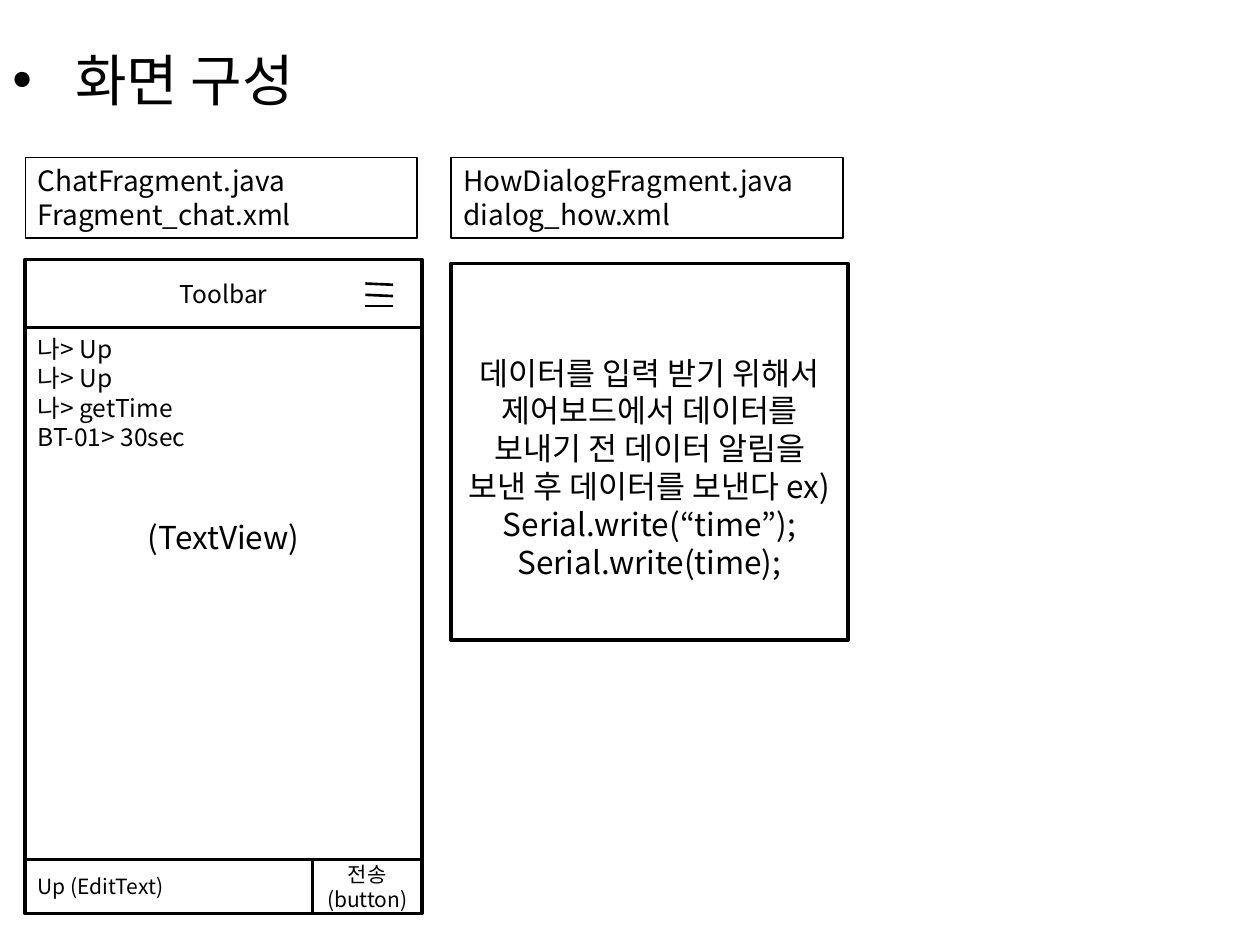
from dataclasses import dataclass

from lxml.etree import SubElement
from pptx import Presentation
from pptx.dml.color import RGBColor
from pptx.enum.shapes import MSO_CONNECTOR, MSO_SHAPE
from pptx.enum.text import MSO_ANCHOR, PP_ALIGN
from pptx.oxml.ns import qn
from pptx.util import Inches, Pt


@dataclass(frozen=True)
class Theme:
    font: str = "Noto Sans CJK KR"
    ink: RGBColor = RGBColor(0, 0, 0)
    paper: RGBColor = RGBColor(255, 255, 255)
    title: int = 32
    label: int = 16
    body: int = 18
    chat: int = 14
    small: int = 12
    thin: float = 0.75
    icon: float = 1.5
    thick: float = 2


def write(frame, text, theme, size, align=PP_ALIGN.LEFT, gap=0):
    """Add one paragraph per line of text, with a gap before the first."""
    for i, line in enumerate(text.split("\n")):
        last = frame.paragraphs[-1]
        para = frame.add_paragraph() if last.runs else last
        para.alignment = align
        para.space_before = Pt(0 if i else gap)
        run = para.add_run()
        run.text = line
        run.font.size = Pt(size)
        run.font.name = theme.font
        run.font.color.rgb = theme.ink
        SubElement(run.font._element, qn("a:ea"), typeface=theme.font)


class Page:
    def __init__(self, slide, theme):
        self.slide, self.theme = slide, theme

    def title(self, text, x, y, w, h):
        box = self.slide.shapes.add_textbox(
            Inches(x), Inches(y), Inches(w), Inches(h))
        frame = box.text_frame
        frame.word_wrap = True
        frame.vertical_anchor = MSO_ANCHOR.MIDDLE
        write(frame, text, self.theme, self.theme.title)
        props = frame.paragraphs[0]._p.get_or_add_pPr()
        props.set("marL", str(Inches(0.5)))
        props.set("indent", str(Inches(-0.5)))
        SubElement(props, qn("a:buFont"), typeface="Arial")
        SubElement(props, qn("a:buChar"), char="•")

    def box(self, text, x, y, w, h, size, align=PP_ALIGN.LEFT,
            anchor=MSO_ANCHOR.MIDDLE, width=None, fill=True,
            top=0.05, side=0.1):
        shape = self.slide.shapes.add_shape(
            MSO_SHAPE.RECTANGLE, Inches(x), Inches(y), Inches(w), Inches(h))
        shape.shadow.inherit = False
        if fill:
            shape.fill.solid()
            shape.fill.fore_color.rgb = self.theme.paper
        else:
            shape.fill.background()
        shape.line.color.rgb = self.theme.ink
        shape.line.width = Pt(width or self.theme.thick)
        frame = shape.text_frame
        frame.word_wrap = True
        frame.vertical_anchor = anchor
        frame.margin_top = Inches(top)
        frame.margin_left = frame.margin_right = Inches(side)
        write(frame, text, self.theme, size, align)
        return frame

    def label(self, text, x):
        self.box(text, x, 1.25, 3.11, 0.64, self.theme.label,
                 anchor=MSO_ANCHOR.TOP, width=self.theme.thin, fill=False)

    def line(self, x1, y1, x2, y2):
        line = self.slide.shapes.add_connector(
            MSO_CONNECTOR.STRAIGHT,
            Inches(x1), Inches(y1), Inches(x2), Inches(y2))
        line.line.color.rgb = self.theme.ink
        line.line.width = Pt(self.theme.icon)
        SubElement(line._element.spPr, qn("a:effectLst"))


def main():
    deck = Presentation()
    deck.slide_width, deck.slide_height = Inches(10), Inches(7.5)
    theme = Theme()
    page = Page(deck.slides.add_slide(deck.slide_layouts[6]), theme)
    left, right, wide = 0.2, 3.58, 3.15
    mid = PP_ALIGN.CENTER

    page.title("화면 구성", 0, 0, 9, 1.25)

    # Chat screen: log, input row and toolbar
    page.label("ChatFragment.java\nFragment_chat.xml", left)
    log = page.box("나> Up\n나> Up\n나> getTime\nBT-01> 30sec",
                   left, 2.6, wide, 4.64, theme.chat, anchor=MSO_ANCHOR.TOP)
    write(log, "(TextView)", theme, theme.body, mid, gap=38)
    page.box("Up (EditText)", left, 6.82, 2.28, 0.43, theme.small)
    page.box("전송\n(button)", 2.48, 6.82, 0.87, 0.43, theme.small, mid)
    page.box("Toolbar", left, 2.06, wide, 0.54, theme.chat, mid)

    # Menu icon
    for y, drop in ((2.25, 0.01), (2.34, 0.01), (2.43, 0)):
        page.line(2.9, y, 3.12, y + drop)

    # Help dialog
    page.box("데이터를 입력 받기 위해서 제어보드에서 데이터를 보내기 전 "
             "데이터 알림을 보낸 후 데이터를 보낸다 "
             "ex) Serial.write(“time”);\nSerial.write(time);",
             right, 2.09, wide, 2.99, theme.body, mid, top=0.29, side=0.13)
    page.label("HowDialogFragment.java\ndialog_how.xml", right)

    deck.save("out.pptx")


if __name__ == "__main__":
    main()
